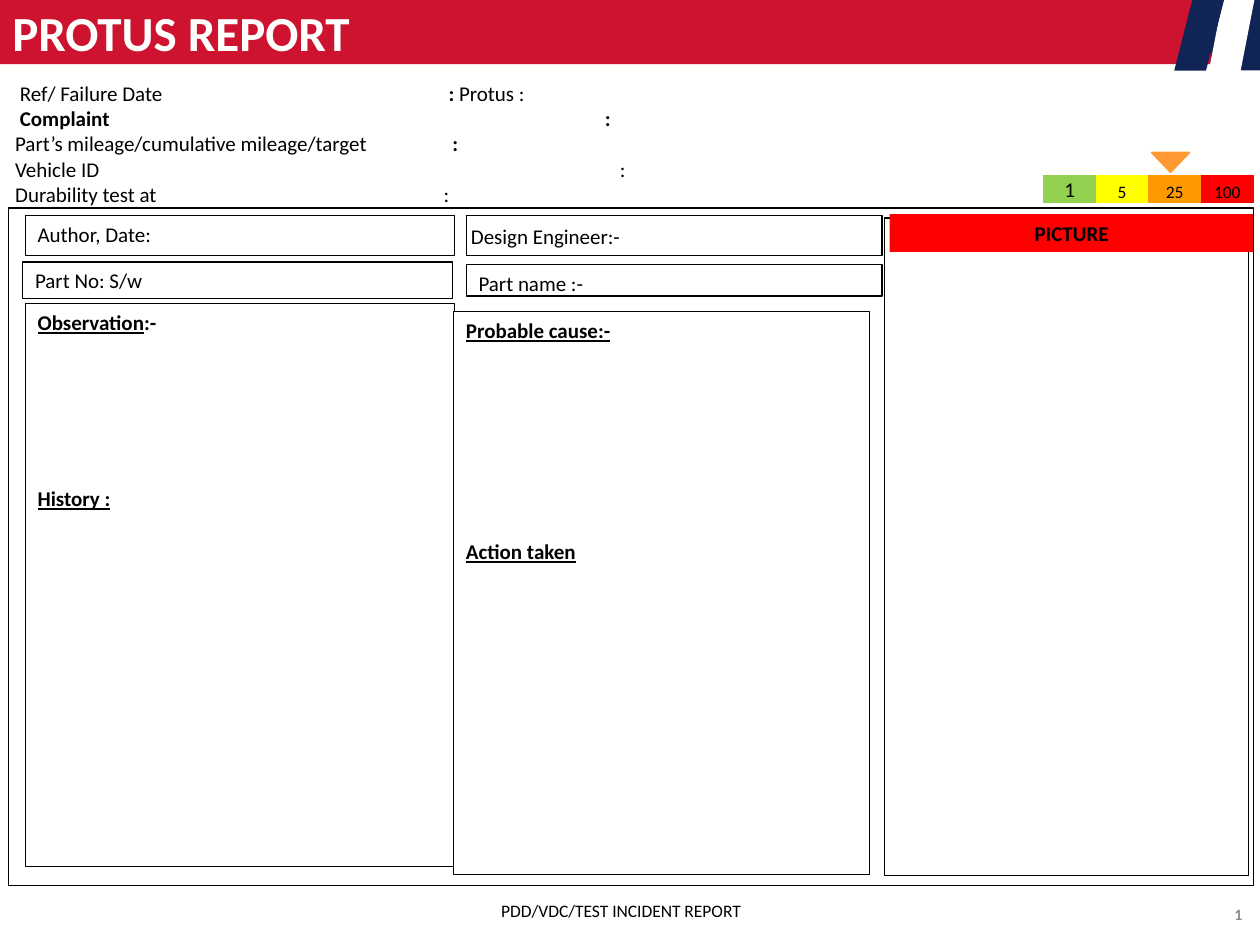
from dataclasses import dataclass
from typing import Optional

from lxml.etree import SubElement
from pptx import Presentation
from pptx.dml.color import RGBColor
from pptx.enum.shapes import MSO_SHAPE as Shape
from pptx.enum.text import MSO_ANCHOR as Anchor, PP_ALIGN as Align
from pptx.oxml import parse_xml
from pptx.oxml.ns import nsdecls, qn
from pptx.util import Inches, Pt

INK = RGBColor(0x00, 0x01, 0x00)
PAPER = RGBColor(0xFF, 0xFF, 0xFE)
CRIMSON = RGBColor(0xCE, 0x13, 0x30)
NAVY = RGBColor(0x10, 0x24, 0x55)
GREY = RGBColor(0x8C, 0x8C, 0x8C)
RED = RGBColor(0xFF, 0x00, 0x00)
GREEN = RGBColor(0x92, 0xD0, 0x50)
YELLOW = RGBColor(0xFF, 0xFF, 0x00)
ORANGE = RGBColor(0xFF, 0x99, 0x00)
MARKER = RGBColor(0xFF, 0x99, 0x33)
FONT = "Calibri"

W, H = Inches(10), Inches(7.5)
COLS, ROWS = 100, 75


@dataclass(frozen=True)
class Run:
    text: str
    bold: bool = False
    underline: bool = False
    size: float = 12
    color: RGBColor = INK


@dataclass(frozen=True)
class Para:
    runs: tuple[Run, ...]
    before: float = 0
    tab: Optional[float] = None
    align: Align = Align.LEFT


@dataclass(frozen=True)
class Box:
    col: float
    row: float
    cols: float
    rows: float
    fill: Optional[RGBColor] = None
    line: Optional[RGBColor] = None
    paras: tuple[Para, ...] = ()
    anchor: Anchor = Anchor.TOP
    insets: tuple[float, float, float, float] = (1, 0.5, 1, 0.5)
    kind: Shape = Shape.RECTANGLE
    adj: Optional[float] = None
    rotation: float = 0
    is_text: bool = False


@dataclass(frozen=True)
class Score:
    value: str
    fill: RGBColor
    size: float = 10


def x(cols: float) -> int:
    return round(W * cols / COLS)


def y(rows: float) -> int:
    return round(H * rows / ROWS)


def one(text: str, align: Align = Align.LEFT, **style) -> tuple[Para, ...]:
    return (Para((Run(text, **style),), align=align),)


def heading(text: str, before: float = 0) -> Para:
    return Para((Run(text, bold=True, underline=True),), before)


def write(tf, paras: tuple[Para, ...]) -> None:
    for i, para in enumerate(paras):
        p = tf.add_paragraph() if i else tf.paragraphs[0]
        p.alignment = para.align
        p.space_before = Pt(para.before)
        if para.tab is not None:
            tabs = SubElement(p._p.get_or_add_pPr(), qn("a:tabLst"))
            SubElement(tabs, qn("a:tab"), pos=str(x(para.tab)), algn="l")
        for run in para.runs:
            r = p.add_run()
            r.text = run.text
            r.font.name = FONT
            r.font.size = Pt(run.size)
            r.font.bold = run.bold
            r.font.underline = run.underline
            r.font.color.rgb = run.color


def draw_box(s, box: Box) -> None:
    place = x(box.col), y(box.row), x(box.cols), y(box.rows)
    if box.is_text:
        sp = s.shapes.add_textbox(*place)
    else:
        sp = s.shapes.add_shape(box.kind, *place)
        sp.shadow.inherit = False
        sp.rotation = box.rotation
        if box.adj is not None:
            sp.adjustments[0] = box.adj
        if box.fill is None:
            sp.fill.background()
        else:
            sp.fill.solid()
            sp.fill.fore_color.rgb = box.fill
        if box.line is None:
            sp.line.fill.background()
        else:
            sp.line.color.rgb = box.line
            sp.line.width = Pt(0.75)
    tf = sp.text_frame
    tf.word_wrap = True
    tf.vertical_anchor = box.anchor
    left, top, right, bottom = box.insets
    tf.margin_left, tf.margin_right = x(left), x(right)
    tf.margin_top, tf.margin_bottom = y(top), y(bottom)
    write(tf, box.paras)


def draw_scores(s, col: float, row: float, cols: float, rows: float, scores: list[Score]) -> None:
    table = s.shapes.add_table(1, len(scores), x(col), y(row), x(cols), y(rows)).table
    table.first_row = table.horz_banding = False
    for i, score in enumerate(scores):
        table.columns[i].width = x(cols / len(scores))
        cell = table.cell(0, i)
        cell.margin_left = cell.margin_right = x(0.1)
        cell.margin_top, cell.margin_bottom = y(0.1), 0
        cell.vertical_anchor = Anchor.BOTTOM
        cell.fill.solid()
        cell.fill.fore_color.rgb = score.fill
        for k, side in enumerate("LRTB"):
            edge = parse_xml(f'<a:ln{side} w="0" {nsdecls("a")}><a:noFill/></a:ln{side}>')
            cell._tc.tcPr.insert(k, edge)
        write(cell.text_frame, one(score.value, Align.CENTER, size=score.size))


NONE = (0, 0, 0, 0)
FACTS = (
    Para((Run(" Ref/ Failure Date\t"), Run(": ", bold=True), Run("Protus :")), tab=34.4),
    Para((Run(" Complaint\t:", bold=True),), tab=46.8),
    Para((Run("Part’s mileage/cumulative mileage/target\t"), Run(":", bold=True)), tab=34.7),
    Para((Run("Vehicle ID\t:"),), tab=48),
    Para((Run("Durability test at\t:"),), tab=34),
)
OBSERVATION = (
    Para((Run("Observation", bold=True, underline=True), Run(":-", bold=True))),
    heading("History :", before=86),
)
CAUSE = heading("Probable cause:-"), heading("Action taken", before=112)

BANNER = [
    Box(95.3, 70.7, 3.3, 2.6, is_text=True, anchor=Anchor.BOTTOM, insets=NONE,
        paras=one("1", Align.RIGHT, size=9, bold=True, color=GREY)),
    Box(0, 0, 100, 5.1, CRIMSON, anchor=Anchor.MIDDLE,
        paras=one("PROTUS REPORT", size=28, bold=True, color=PAPER)),
    Box(96.1, -0.2, 3.9, 5.8, NAVY),
    Box(95.6, -0.2, 4, 7.6, PAPER, kind=Shape.PARALLELOGRAM, adj=0.37),
    Box(93.2, -0.2, 4, 5.8, NAVY, kind=Shape.PARALLELOGRAM, adj=0.37),
    Box(38.8, 70.9, 21.3, 2.7, is_text=True,
        paras=one("PDD/VDC/TEST INCIDENT REPORT", size=10)),
    Box(0.4, 5, 99.2, 10.3, is_text=True, insets=(0.8, 1.4, 0.8, 0), paras=FACTS),
]
FORM = [
    Box(2, 17.1, 34.1, 3.2, PAPER, INK, one("Author, Date:")),
    Box(1.8, 20.8, 34.1, 2.9, PAPER, INK, one("Part No: S/w"), Anchor.MIDDLE),
    Box(2, 24.1, 34.1, 44.7, PAPER, INK, OBSERVATION),
    Box(37, 21, 33, 2.5, PAPER, INK, one("Part name :-")),
    Box(92.1, 11.4, 1.6, 3, MARKER, MARKER, kind=Shape.PENTAGON, adj=0.98, rotation=90),
    Box(70.2, 17.3, 28.9, 52.2, line=INK),
    Box(70.6, 17, 28.9, 3, RED, paras=one("PICTURE", Align.CENTER, bold=True)),
    Box(0.7, 16.5, 98.8, 53.8, line=INK),
    Box(37, 17.1, 33, 3.2, PAPER, INK, one(" Design Engineer:-"), Anchor.MIDDLE, NONE),
    Box(36, 24.7, 33, 44.7, PAPER, INK, CAUSE),
]
SCORES = [Score("1", GREEN, 12), Score("5", YELLOW), Score("25", ORANGE), Score("100", RED)]


def main() -> None:
    prs = Presentation()
    prs.slide_width, prs.slide_height = W, H
    s = prs.slides.add_slide(prs.slide_layouts[6])
    s.background.fill.solid()
    s.background.fill.fore_color.rgb = PAPER
    for box in BANNER + FORM:
        draw_box(s, box)
    draw_scores(s, 82.8, 13.9, 16.7, 2.2, SCORES)
    prs.save("out.pptx")


if __name__ == "__main__":
    main()
